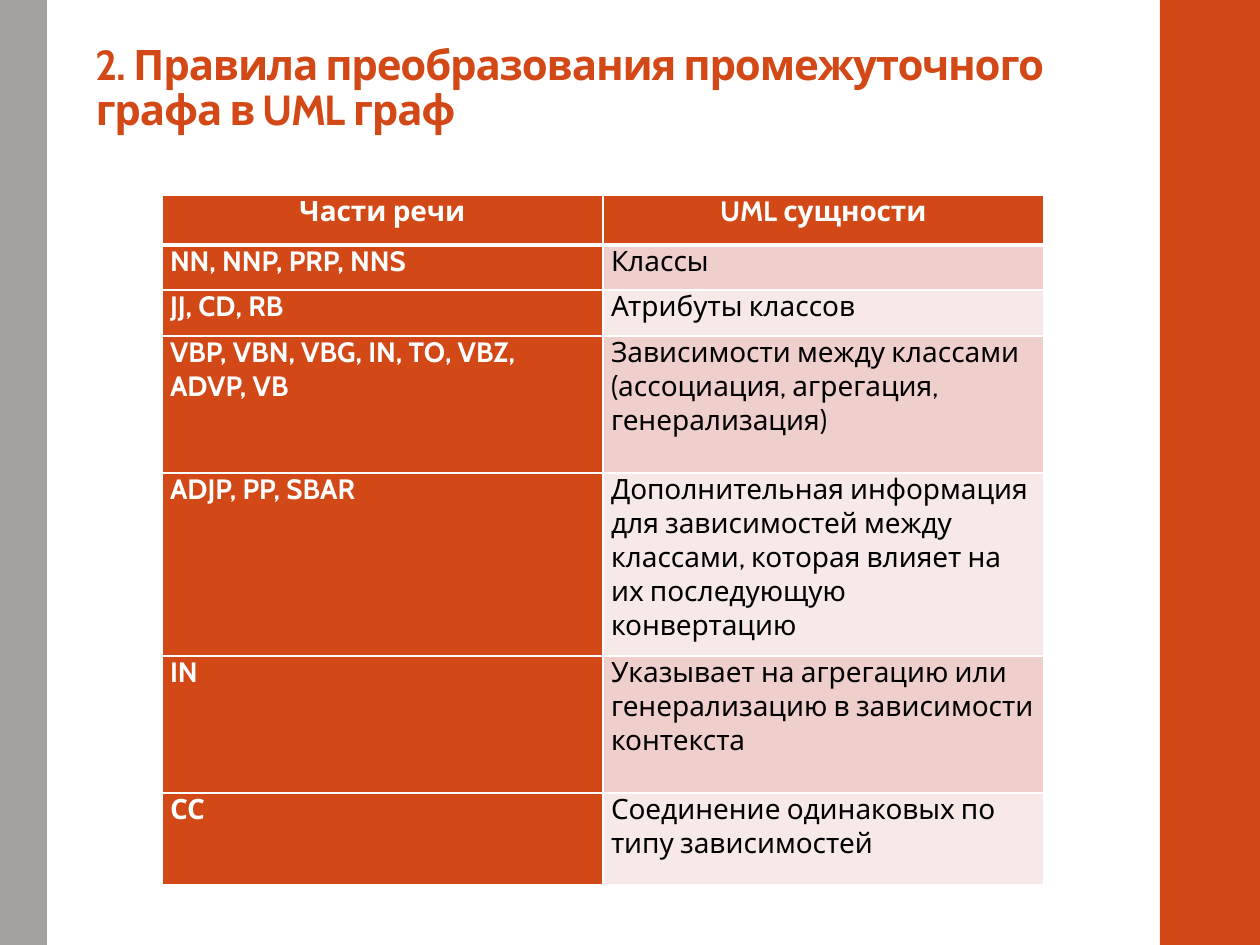
from lxml.etree import SubElement
from pptx import Presentation
from pptx.dml.color import RGBColor
from pptx.enum.shapes import MSO_SHAPE
from pptx.enum.text import MSO_ANCHOR, MSO_AUTO_SIZE, PP_ALIGN
from pptx.oxml import parse_xml
from pptx.oxml.ns import nsdecls, qn
from pptx.util import Pt

PIXEL = 914400 / 126
FONT = "Cabin"
ORANGE = RGBColor(0xD3, 0x48, 0x17)
GREY = RGBColor(0xA6, 0xA1, 0xA1)
WHITE = RGBColor(0xFF, 0xFF, 0xFF)
BLACK = RGBColor(0, 0, 0)
BANDS = (RGBColor(0xEF, 0xCF, 0xCC), RGBColor(0xF7, 0xE9, 0xE8))

TITLE = "2. Правила преобразования промежуточного графа в UML граф"
ROWS = (
    (50, "Части речи", "UML сущности"),
    (45, "NN, NNP, PRP, NNS", "Классы"),
    (46, "JJ, CD, RB", "Атрибуты классов"),
    (137, "VBP, VBN, VBG, IN, TO, VBZ, ADVP, VB",
     "Зависимости между классами (ассоциация, агрегация, генерализация)"),
    (183, "ADJP, PP, SBAR",
     "Дополнительная информация для зависимостей между классами, "
     "которая влияет на их последующую конвертацию"),
    (137, "IN", "Указывает на агрегацию или генерализацию в зависимости контекста"),
    (92, "СС", "Соединение одинаковых по типу зависимостей"),
)


def px(length):
    return round(length * PIXEL)


def style_font(font, size, color, bold):
    font.name = FONT
    font.size = Pt(size)
    font.bold = bold
    font.color.rgb = color


def add_bar(page, box, color):
    bar = page.shapes.add_shape(MSO_SHAPE.RECTANGLE, *map(px, box))
    bar.shadow.inherit = False
    bar.fill.solid()
    bar.fill.fore_color.rgb = color
    bar.line.fill.background()


def fill_title(page, box, text):
    title = page.shapes.title
    title.left, title.top, title.width, title.height = map(px, box)
    frame = title.text_frame
    frame.word_wrap = True
    frame.auto_size = MSO_AUTO_SIZE.NONE
    frame.vertical_anchor = MSO_ANCHOR.BOTTOM
    para = frame.paragraphs[0]
    span = para.add_run()
    span.text = text
    para.alignment = PP_ALIGN.LEFT
    para.line_spacing = 0.9
    style_font(para.font, 24, ORANGE, True)
    span.font._element.set("spc", "-70")


def set_borders(cell, widths):
    properties = cell._tc.get_or_add_tcPr()
    for index, (side, width) in enumerate(widths.items()):
        line = parse_xml(f'<a:ln{side} {nsdecls("a")} w="{Pt(width)}"/>')
        fill = SubElement(line, qn("a:solidFill"))
        SubElement(fill, qn("a:srgbClr"), val=str(WHITE))
        properties.insert(index, line)


def fill_cell(cell, text, row, column):
    header = row == 0
    strong = header or column == 0
    cell.margin_left = cell.margin_right = px(8)
    cell.margin_top = cell.margin_bottom = 0
    cell.fill.solid()
    cell.fill.fore_color.rgb = ORANGE if strong else BANDS[(row - 1) % 2]
    cell.text = text
    para = cell.text_frame.paragraphs[0]
    para.alignment = PP_ALIGN.CENTER if header else PP_ALIGN.LEFT
    style_font(para.font, 16, WHITE if strong else BLACK, strong)
    set_borders(cell, {"L": 1, "R": 1, "T": 3 if row == 1 else 1, "B": 3 if header else 1})


def add_rules_table(page, box, rows):
    left, top, width, height = map(px, box)
    table = page.shapes.add_table(len(rows), 2, left, top, width, height).table
    for column in table.columns:
        column.width = width // 2
    for row, (row_height, *texts) in enumerate(rows):
        table.rows[row].height = px(row_height)
        for column, text in enumerate(texts):
            fill_cell(table.cell(row, column), text, row, column)


def build_page(deck):
    page = deck.slides.add_slide(deck.slide_layouts[5])
    page.background.fill.solid()
    page.background.fill.fore_color.rgb = WHITE
    add_bar(page, (1160, 0, 100, 945), ORANGE)
    add_bar(page, (0, 0, 47, 945), GREY)
    fill_title(page, (83, 40, 1042, 101), TITLE)
    add_rules_table(page, (162, 195, 882, sum(row[0] for row in ROWS)), ROWS)


deck = Presentation()
deck.slide_width, deck.slide_height = px(1260), px(945)
build_page(deck)
deck.save("out.pptx")
